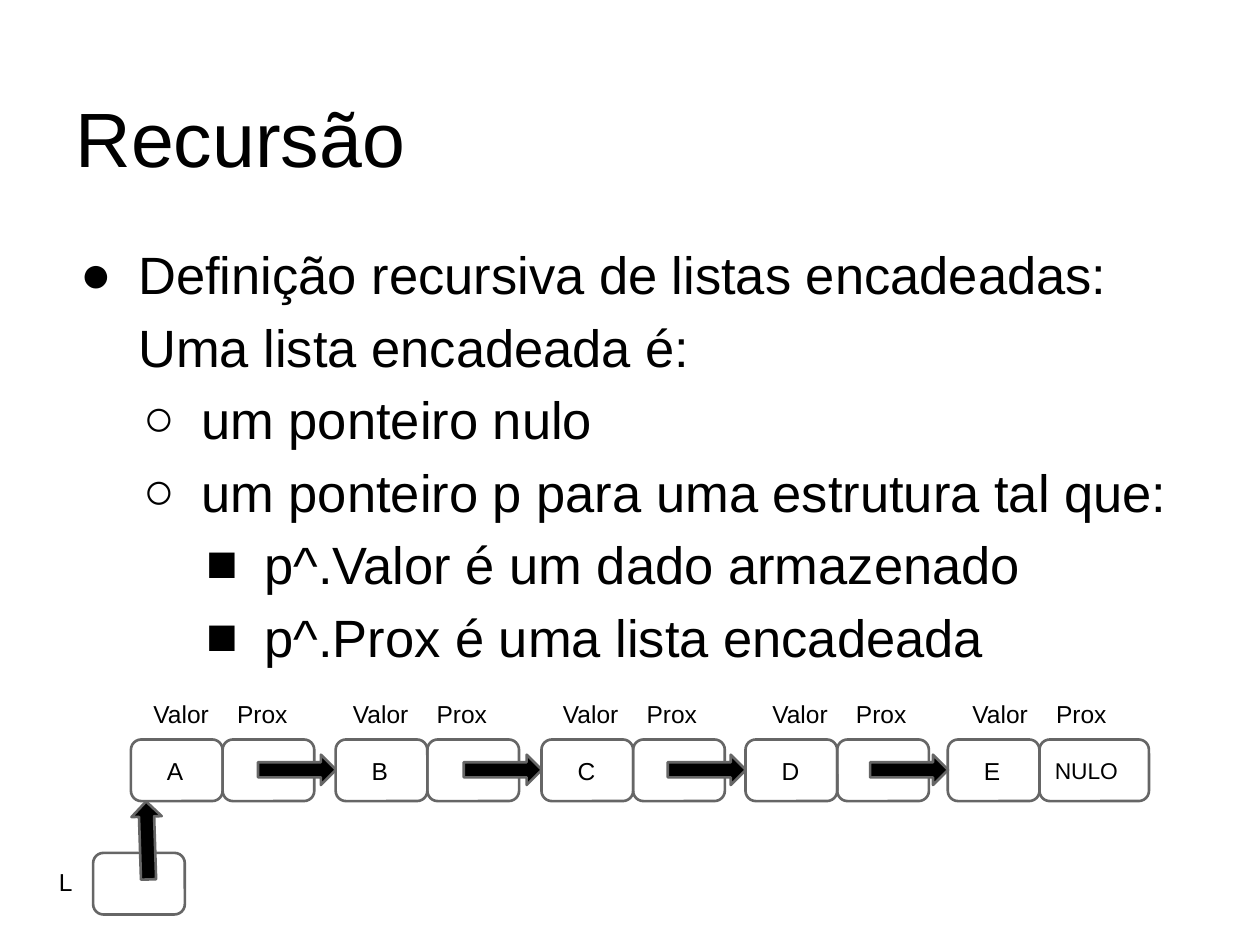
import pptx
import pptx.util
import pptx.dml.color
import pptx.enum.shapes
import pptx.enum.text
import pptx.oxml
import lxml.etree

Pt = pptx.util.Pt
Shape = pptx.enum.shapes.MSO_SHAPE
Anchor = pptx.enum.text.MSO_ANCHOR
Align = pptx.enum.text.PP_ALIGN


def paint(color_format, color):
    color_format.rgb = pptx.dml.color.RGBColor.from_string(color)


def write(frame, text, size, anchor=Anchor.TOP, left_inset=7.2):
    frame.word_wrap = True
    frame.auto_size = pptx.enum.text.MSO_AUTO_SIZE.NONE
    frame.vertical_anchor = anchor
    frame.margin_left = Pt(left_inset)
    frame.margin_right = frame.margin_top = frame.margin_bottom = Pt(7.2)
    para = frame.paragraphs[0]
    para.alignment = Align.LEFT
    span = para.add_run()
    span.text = text
    span.font.size = Pt(size)
    span.font.name = "Arial"
    paint(span.font.color, "000000")


deck = pptx.Presentation()
deck.slide_width = Pt(720)
deck.slide_height = Pt(540)
page = deck.slides.add_slide(deck.slide_layouts[5])

title = page.shapes.title
title.left, title.top, title.width, title.height = Pt(36), Pt(21.6), Pt(648), Pt(90)
write(title.text_frame, "Recursão", 44, Anchor.BOTTOM)

definition = [
    (0, "●", "Definição recursiva de listas encadeadas:"),
    (0, None, "Uma lista encadeada é:"),
    (1, "○", "um ponteiro nulo"),
    (1, "○", "um ponteiro p para uma estrutura tal que:"),
    (2, "■", "p^.Valor é um dado armazenado"),
    (2, "■", "p^.Prox é uma lista encadeada"),
]
body = page.shapes.add_textbox(Pt(36), Pt(126), Pt(648), Pt(391))
frame = body.text_frame
frame.word_wrap = True
frame.margin_left = frame.margin_right = frame.margin_top = frame.margin_bottom = Pt(7.2)
for index, (level, bullet, text) in enumerate(definition):
    para = frame.paragraphs[0] if index == 0 else frame.add_paragraph()
    para.level = level
    para.line_spacing = 1.15
    properties = para._p.get_or_add_pPr()
    properties.set("marL", str(Pt(36 * (level + 1))))
    properties.set("indent", str(Pt(-33 if bullet else 0)))
    if bullet:
        font = lxml.etree.SubElement(properties, pptx.oxml.ns.qn("a:buFont"))
        font.set("typeface", "Arial")
        mark = lxml.etree.SubElement(properties, pptx.oxml.ns.qn("a:buChar"))
        mark.set("char", bullet)
    span = para.add_run()
    span.text = text
    span.font.size = Pt(30)
    span.font.name = "Arial"
    paint(span.font.color, "000000")

cell_width, cell_height, cell_top = 52.4, 35.2, 422.6
nodes = [("A", 74.8, 80.6), ("B", 191.8, 194.6), ("C", 309.4, 314.6),
         ("D", 426, 434.2), ("E", 541.6, 548.6)]

cells = [(74.8 - 21.6, 487.4, cell_width, "", 14, 7.2)]
arrows = [(61.9, 471.6, 268.2)]
labels = [("L", 26.6, 488.2, 33.2)]
for name, left, label_left in nodes:
    last = name == "E"
    cells.append((left, cell_top, cell_width, name, 14, 18.9))
    cells.append((left + cell_width, cell_top, 62.6 if last else cell_width,
                  "NULO" if last else "", 13, 7.2))
    labels.append(("Valor", label_left, 392.4, 67.6))
    labels.append(("Prox", label_left + 47.8, 392.4, 67.6))
    if name != "A":
        arrows.append((left - 44.4, 431.3, 0))

for left, top, width, text, size, inset in cells:
    cell = page.shapes.add_shape(Shape.ROUNDED_RECTANGLE, Pt(left), Pt(top), Pt(width), Pt(cell_height))
    cell.shadow.inherit = False
    cell.fill.background()
    paint(cell.line.color, "666666")
    cell.line.width = Pt(1.5)
    if text:
        write(cell.text_frame, text, size, Anchor.MIDDLE, inset)

for left, top, rotation in arrows:
    arrow = page.shapes.add_shape(Shape.RIGHT_ARROW, Pt(left), Pt(top), Pt(44.6), Pt(17.3))
    arrow.shadow.inherit = False
    arrow.rotation = rotation
    arrow.fill.solid()
    paint(arrow.fill.fore_color, "000000")
    paint(arrow.line.color, "666666")
    arrow.line.width = Pt(1.5)

for text, left, top, width in labels:
    label = page.shapes.add_textbox(Pt(left), Pt(top), Pt(width), Pt(cell_height))
    write(label.text_frame, text, 14)

deck.save("out.pptx")
